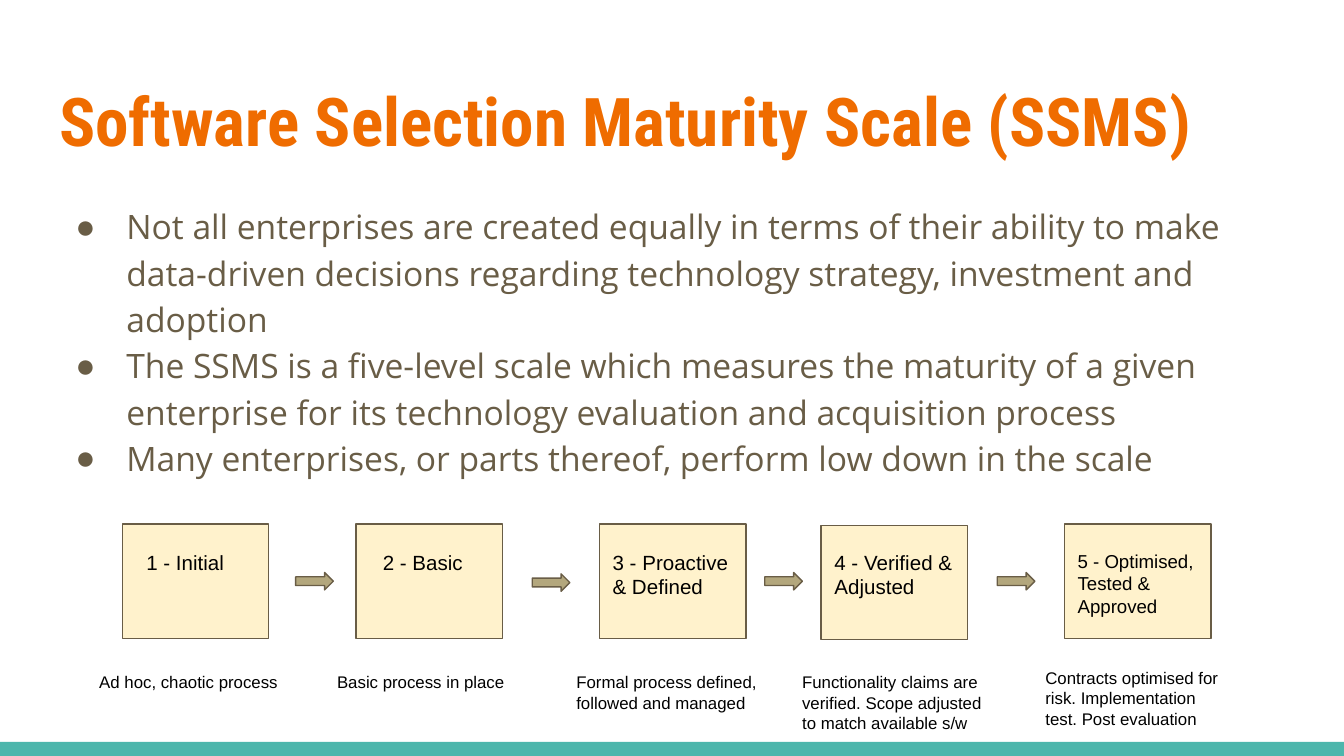
from dataclasses import dataclass
from lxml.etree import SubElement
from pptx import Presentation
from pptx.dml.color import RGBColor
from pptx.enum.shapes import MSO_SHAPE
from pptx.enum.text import MSO_ANCHOR, MSO_AUTO_SIZE, PP_ALIGN
from pptx.oxml.ns import qn
from pptx.util import Inches, Pt


@dataclass(frozen=True)
class Theme:
    back: str = "FFFFFF"
    head: str = "EF6C00"
    body: str = "695D46"
    text: str = "000000"
    card: str = "FFF2CC"
    arrow: str = "B3A77D"
    strip: str = "4DB6AC"
    title: tuple = ("Roboto Condensed", 36)
    list: tuple = ("Open Sans", 18)
    name: tuple = ("Arial", 11)
    small: tuple = ("Arial", 10)
    note: tuple = ("Arial", 9)


THEME = Theme()
WIDE = Inches(10)
HIGH = WIDE * 9 // 16
CELL = WIDE / 100
PAD = Inches(0.1)
FRAME = dict(word_wrap=True, margin_left=PAD, margin_right=PAD,
             margin_top=PAD, margin_bottom=PAD,
             vertical_anchor=MSO_ANCHOR.TOP, auto_size=MSO_AUTO_SIZE.NONE)
PARA = dict(alignment=PP_ALIGN.LEFT, space_before=Pt(0), space_after=Pt(0))

TITLE = "Software Selection Maturity Scale (SSMS)"
POINTS = [
    "Not all enterprises are created equally in terms of their ability to make "
    "data-driven decisions regarding technology strategy, investment and adoption",
    "The SSMS is a five-level scale which measures the maturity of a given "
    "enterprise for its technology evaluation and acquisition process",
    "Many enterprises, or parts thereof, perform low down in the scale",
]
STEPS = [
    (9.1, 39, "1 - Initial", 9.9, 9.3, THEME.name,
     "Ad hoc, chaotic process", 6.4, 49),
    (26.5, 39, "2 - Basic", 27.5, 9.3, THEME.name,
     "Basic process in place", 24.1, 49),
    (44.6, 39, "3 - Proactive & Defined", 44.6, 10.9, THEME.name,
     "Formal process defined, followed and managed", 41.9, 49),
    (61.1, 39.1, "4 - Verified & Adjusted", 61.1, 10.9, THEME.name,
     "Functionality claims are verified. Scope adjusted to match available s/w",
     58.7, 49),
    (79.2, 39, "5 - Optimised, Tested & Approved", 79.2, 10.9, THEME.small,
     "Contracts optimised for risk. Implementation test. Post evaluation",
     76.8, 48.7),
]
ARROWS = [(22, 42.6), (39.6, 42.7), (56.9, 42.6), (74.2, 42.6)]


def put(item, vals):
    for key, val in vals.items():
        setattr(item, key, val)


def grid(*cells):
    return [round(cell * CELL) for cell in cells]


def paint(fill, tint):
    fill.solid()
    fill.fore_color.rgb = RGBColor.from_string(tint)


def write(frame, lines, face, tint, bold=False, space=1.0):
    put(frame, FRAME)
    for num, line in enumerate(lines):
        para = frame.paragraphs[0] if num == 0 else frame.add_paragraph()
        put(para, dict(PARA, line_spacing=space))
        run = para.add_run()
        run.text = line
        put(run.font, dict(name=face[0], size=Pt(face[1]), bold=bold))
        run.font.color.rgb = RGBColor.from_string(tint)


def move(holder, *cells):
    put(holder, dict(zip(("left", "top", "width", "height"), grid(*cells))))


def dot(para, tint):
    props = para._p.get_or_add_pPr()
    props.set("marL", str(Inches(0.5)))
    props.set("indent", str(-Inches(0.38)))
    color = SubElement(props, qn("a:buClr"))
    SubElement(color, qn("a:srgbClr"), val=tint)
    SubElement(props, qn("a:buChar"), char="●")


def block(slide, kind, cells, tint, edge=None):
    shape = slide.shapes.add_shape(kind, *grid(*cells))
    shape.shadow.inherit = False
    paint(shape.fill, tint)
    if edge:
        paint(shape.line.fill, edge)
        shape.line.width = Pt(0.75)
    else:
        shape.line.fill.background()


def label(slide, cells, text, face):
    box = slide.shapes.add_textbox(*grid(*cells))
    write(box.text_frame, [text], face, THEME.text)


def head(slide):
    title = slide.shapes.title
    move(title, 3.4, 4.9, 93.2, 7.7)
    write(title.text_frame, [TITLE], THEME.title, THEME.head, bold=True)


def points(slide):
    body = slide.placeholders[1]
    move(body, 3.4, 13.9, 89.8, 23)
    write(body.text_frame, POINTS, THEME.list, THEME.body, space=1.15)
    body.text_frame.auto_size = MSO_AUTO_SIZE.TEXT_TO_FIT_SHAPE
    for para in body.text_frame.paragraphs:
        dot(para, THEME.body)


def scale(slide):
    for left, top, *_ in STEPS:
        block(slide, MSO_SHAPE.RECTANGLE, (left, top, 10.9, 8.5),
              THEME.card, THEME.body)
    for left, top in ARROWS:
        block(slide, MSO_SHAPE.RIGHT_ARROW, (left, top, 2.8, 1.3),
              THEME.arrow, THEME.body)
    for _, _, name, left, width, face, note, edge, top in STEPS:
        label(slide, (left, 39.9, width, 3.3), name, face)
        label(slide, (edge, top, 15.6, 5.5), note, THEME.note)


def main():
    deck = Presentation()
    put(deck, dict(slide_width=WIDE, slide_height=HIGH))
    slide = deck.slides.add_slide(deck.slide_layouts[1])
    paint(slide.background.fill, THEME.back)
    block(slide, MSO_SHAPE.RECTANGLE, (0, 55.2, 100, 1.05), THEME.strip)
    head(slide)
    points(slide)
    scale(slide)
    deck.save("out.pptx")


if __name__ == "__main__":
    main()
